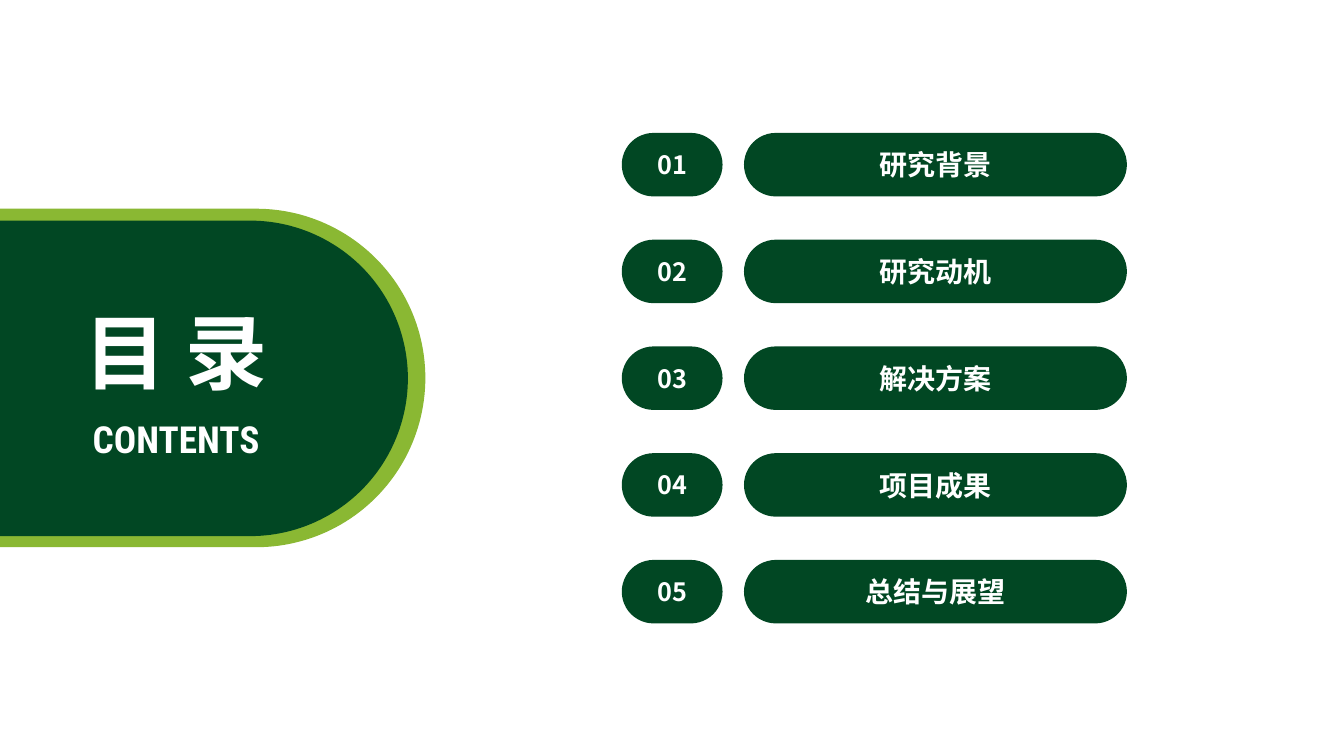
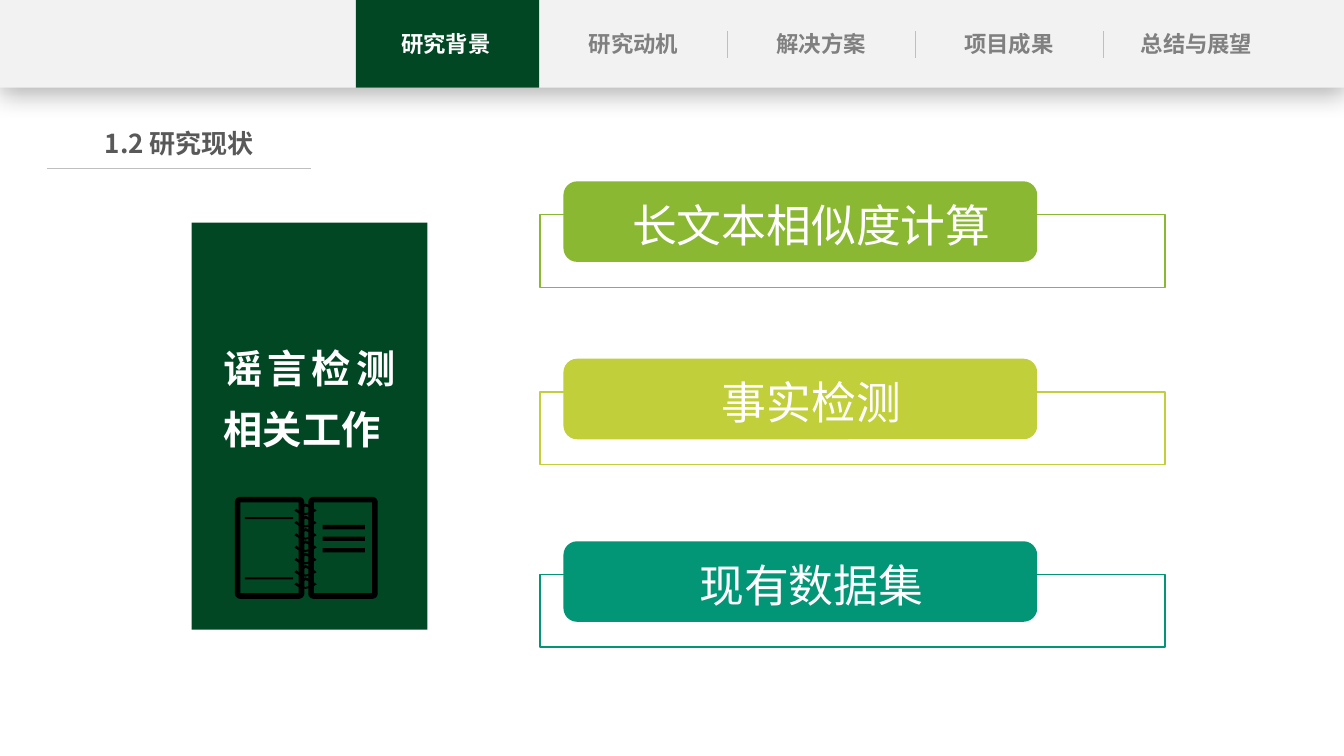
from lxml import etree
from pptx import Presentation
from pptx.dml.color import RGBColor
from pptx.enum.shapes import MSO_CONNECTOR, MSO_SHAPE
from pptx.enum.text import MSO_ANCHOR, PP_ALIGN
from pptx.oxml import parse_xml
from pptx.oxml.ns import nsdecls, qn
from pptx.util import Cm, Pt

WHITE = RGBColor(0xFF, 0xFF, 0xFF)
BLACK = RGBColor(0x00, 0x00, 0x00)
DARK_GREEN = RGBColor(0x01, 0x47, 0x23)
LEAF = RGBColor(0x8A, 0xB8, 0x33)
LIME = RGBColor(0xC0, 0xCF, 0x3A)
TEAL = RGBColor(0x02, 0x96, 0x76)
BAND = RGBColor(0xF2, 0xF2, 0xF2)
RULE = RGBColor(0xBF, 0xBF, 0xBF)
MUTED = RGBColor(0x80, 0x80, 0x80)
HEADING = RGBColor(0x59, 0x59, 0x59)

CHINESE_FONT = "Noto Sans CJK SC"
LATIN_FONT = "Roboto Condensed"
SLIDE_WIDTH, SLIDE_HEIGHT = 33.87, 19.05

CHAPTERS = ["研究背景", "研究动机", "解决方案", "项目成果", "总结与展望"]
TOPICS = [
    ("长文本相似度计算", LEAF, 4.57),
    ("事实检测", LIME, 9.04),
    ("现有数据集", TEAL, 13.64),
]

# One binding ring, measured from the spine and the top of the ring
RING_BACK = [(0.08, 0.12), (0, 0.09), (-0.05, 0.12),
             (-0.1, 0.07), (0, 0.02), (0.13, 0.07)]
RING_FRONT = [(-0.23, 0.15), (-0.13, 0.23), (0, 0.26), (0.13, 0.23), (0.23, 0.15),
              (0.28, 0.2), (0.13, 0.28), (0, 0.31), (-0.15, 0.28), (-0.28, 0.2)]


def write(shape, text, size=16, color=WHITE, bold=True, font=CHINESE_FONT,
          align=PP_ALIGN.CENTER, left_inset=0, line_spacing=None, space=0):
    """Put one formatted paragraph, vertically centred, into a shape."""
    frame = shape.text_frame
    frame.word_wrap = True
    frame.vertical_anchor = MSO_ANCHOR.MIDDLE
    frame.margin_left, frame.margin_right = Cm(left_inset), 0
    para = frame.paragraphs[0]
    para.alignment = align
    para.space_before = para.space_after = Pt(space)
    if line_spacing:
        para.line_spacing = line_spacing
    span = para.add_run()
    span.text = text
    span.font.name, span.font.size = font, Pt(size)
    span.font.bold, span.font.color.rgb = bold, color
    east_asian = etree.SubElement(span.font._element, qn("a:ea"))
    east_asian.set("typeface", font)


class Page:
    """Holds the deck, its style and the slide being drawn."""

    def __init__(self):
        self.deck = Presentation()
        self.deck.slide_width = Cm(SLIDE_WIDTH)
        self.deck.slide_height = Cm(SLIDE_HEIGHT)
        self.shapes = None

    def start(self):
        self.shapes = self.deck.slides.add_slide(self.deck.slide_layouts[6]).shapes

    def paint(self, shape, fill, line=None, weight=1):
        shape.shadow.inherit = False
        if fill is None:
            shape.fill.background()
        else:
            shape.fill.solid()
            shape.fill.fore_color.rgb = fill
        if line is None:
            shape.line.fill.background()
        else:
            shape.line.color.rgb = line
            shape.line.width = Pt(weight)
        return shape

    def block(self, left, top, width, height, fill=None, rounding=None, **outline):
        """Rectangle, with rounded corners when a rounding is given."""
        kind = MSO_SHAPE.RECTANGLE if rounding is None else MSO_SHAPE.ROUNDED_RECTANGLE
        box = self.shapes.add_shape(kind, Cm(left), Cm(top), Cm(width), Cm(height))
        if rounding is not None:
            box.adjustments[0] = rounding
        return self.paint(box, fill, **outline)

    def text(self, left, top, width, height, text, **style):
        box = self.shapes.add_textbox(Cm(left), Cm(top), Cm(width), Cm(height))
        write(box, text, **style)

    def rule(self, left, top, right, bottom):
        line = self.shapes.add_connector(
            MSO_CONNECTOR.STRAIGHT, Cm(left), Cm(top), Cm(right), Cm(bottom))
        line.line.color.rgb = RULE
        line.line.width = Pt(0.5)
        etree.SubElement(line._element.spPr, qn("a:effectLst"))

    def outline(self, points, left, top, fill):
        """Filled polygon whose points are offsets from left and top."""
        corners = [(Cm(left + x), Cm(top + y)) for x, y in points]
        builder = self.shapes.build_freeform(*corners[0])
        builder.add_line_segments(corners[1:], close=True)
        self.paint(builder.convert_to_shape(), fill)

    def navigation(self, active):
        band = self.block(0, 0, SLIDE_WIDTH, 2.21, BAND)
        effects = band._element.spPr.find(qn("a:effectLst"))
        effects.append(parse_xml(
            f'<a:outerShdw {nsdecls("a")} blurRad="228600" dist="50800" dir="5400000" '
            'algn="t" rotWithShape="0"><a:srgbClr val="000000">'
            '<a:alpha val="29000"/></a:srgbClr></a:outerShdw>'))
        for index, chapter in enumerate(CHAPTERS):
            left = 9.37 + 4.73 * index
            if index == active:
                self.block(left - 0.4, 0, 4.62, 2.21, DARK_GREEN)
            elif index > active + 1:
                self.rule(left - 0.49, 0.79, left - 0.49, 1.47)
            self.text(left, 0.61, 3.73, 0.97, chapter,
                      color=WHITE if index == active else MUTED)

    def heading(self, text):
        self.rule(1.19, 4.24, 7.85, 4.24)
        self.text(2.26, 3.07, 4.52, 1.07, text, size=18.6, color=HEADING)

    def topic(self, name, color, top):
        self.block(13.61, top + 0.84, 15.75, 1.83, line=color)
        label = self.block(14.2, top, 11.94, 2.03, color, rounding=0.17)
        write(label, name, size=32, bold=False, left_inset=0.56, line_spacing=1.1)

    def notebook(self):
        for left in (5.99, 7.84):
            self.block(left, 12.59, 1.61, 2.43, rounding=0.04, line=BLACK, weight=4)
        for ring in range(7):
            for points in (RING_BACK, RING_FRONT):
                self.outline(points, 7.7, 12.67 + 0.31 * ring, BLACK)
        for top in (13.03, 14.55):
            self.block(6.17, top, 1.22, 0.05, BLACK)
        for row in range(3):
            self.block(8.13, 13.23 + 0.29 * row, 1.07, 0.11, BLACK)


def contents_slide(page):
    page.start()
    page.block(-4.98, 5.26, 15.7, 8.53, LEAF, rounding=0.5)
    page.block(-4.32, 5.56, 14.6, 7.95, DARK_GREEN, rounding=0.5)
    for index, chapter in enumerate(CHAPTERS):
        top = 3.35 + 2.69 * index
        number = page.block(15.67, top, 2.54, 1.6, DARK_GREEN, rounding=0.5)
        write(number, f"{index + 1:02}", size=18)
        name = page.block(18.75, top, 9.65, 1.6, DARK_GREEN, rounding=0.5)
        write(name, chapter, size=20)
    page.text(1.57, 10.36, 5.74, 1.4, "CONTENTS", size=26.6, font=LATIN_FONT)
    page.text(1.78, 7.44, 5.31, 2.77, "目 录", size=58.6)


def related_work_slide(page):
    page.start()
    page.navigation(active=0)
    page.heading("1.2 研究现状")
    page.block(4.83, 5.61, 5.94, 10.26, DARK_GREEN)
    for name, color, top in TOPICS:
        page.topic(name, color, top)
    page.text(5.64, 8.28, 4.32, 3.15, "谣言检测相关工作", size=28,
              align=PP_ALIGN.JUSTIFY, line_spacing=1.3, space=6)
    page.notebook()


def main():
    page = Page()
    contents_slide(page)
    related_work_slide(page)
    page.deck.save("out.pptx")


if __name__ == "__main__":
    main()
